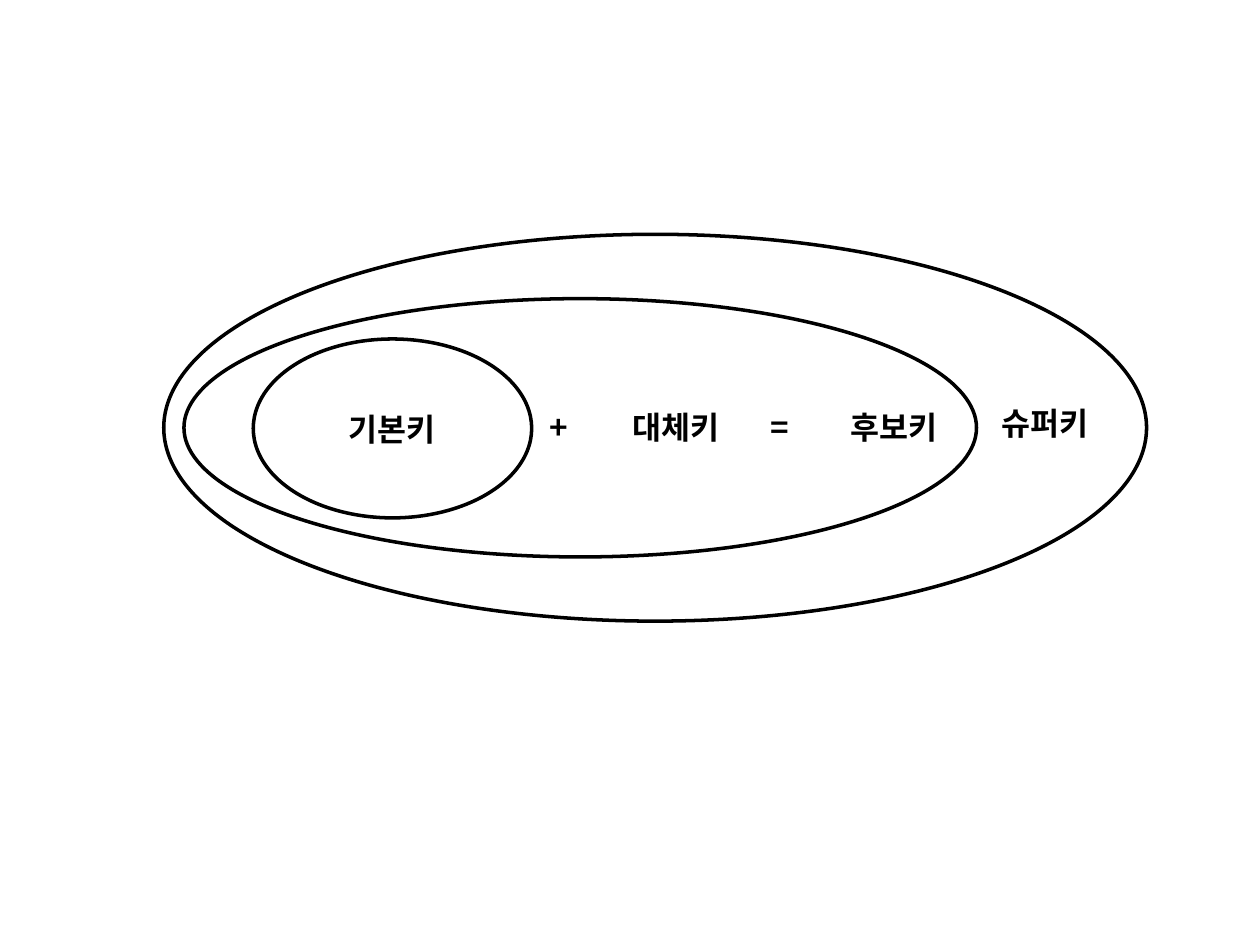
from dataclasses import dataclass

from lxml import etree
from pptx import Presentation
from pptx.dml.color import RGBColor
from pptx.enum import shapes, text
from pptx.oxml import ns
from pptx.util import Inches, Pt


@dataclass(frozen=True)
class Theme:
    ink: str = "000000"
    paper: str = "FFFFFF"
    font: str = "Noto Sans CJK KR"
    size: float = 18
    line: float = 2


def write(frame, words, *, theme, align=text.PP_ALIGN.LEFT, bold=True):
    para = frame.paragraphs[0]
    para.alignment = align
    run = para.add_run()
    run.text = words
    font = run.font
    font.size = Pt(theme.size)
    font.bold = bold
    font.color.rgb = RGBColor.from_string(theme.ink)
    font.name = theme.font
    asian = etree.SubElement(run._r.get_or_add_rPr(), ns.qn("a:ea"))
    asian.set("typeface", theme.font)


class Sketch:
    def __init__(self, slide, theme):
        self.slide = slide
        self.theme = theme

    def oval(self, left, top, width, height, words=None):
        ring = self.slide.shapes.add_shape(
            shapes.MSO_SHAPE.OVAL,
            Inches(left), Inches(top), Inches(width), Inches(height))
        ring.shadow.inherit = False
        ring.fill.solid()
        ring.fill.fore_color.rgb = RGBColor.from_string(self.theme.paper)
        ring.line.color.rgb = RGBColor.from_string(self.theme.ink)
        ring.line.width = Pt(self.theme.line)
        if words:
            frame = ring.text_frame
            frame.vertical_anchor = text.MSO_ANCHOR.MIDDLE
            write(frame, words, theme=self.theme, align=text.PP_ALIGN.CENTER)

    def label(self, words, left, top=3.19, width=0.96, height=0.4):
        box = self.slide.shapes.add_textbox(
            Inches(left), Inches(top), Inches(width), Inches(height))
        frame = box.text_frame
        frame.word_wrap = False
        frame.auto_size = text.MSO_AUTO_SIZE.SHAPE_TO_FIT_TEXT
        write(frame, words, theme=self.theme)


def main():
    deck = Presentation()
    deck.slide_width = Inches(10)
    deck.slide_height = Inches(7.5)
    sketch = Sketch(deck.slides.add_slide(deck.slide_layouts[6]), Theme())

    sketch.oval(1.3, 1.86, 7.8, 3.07)
    sketch.label("슈퍼키", 7.85, top=3.16)
    sketch.oval(1.46, 2.37, 6.29, 2.05)
    sketch.label("후보키", 6.65)
    sketch.oval(2.01, 2.69, 2.21, 1.42, "기본키")
    sketch.label("대체키", 4.92)
    for sign, left in (("+", 4.26), ("=", 6.02)):
        sketch.label(sign, left, width=0.38)

    deck.save("out.pptx")


if __name__ == "__main__":
    main()
